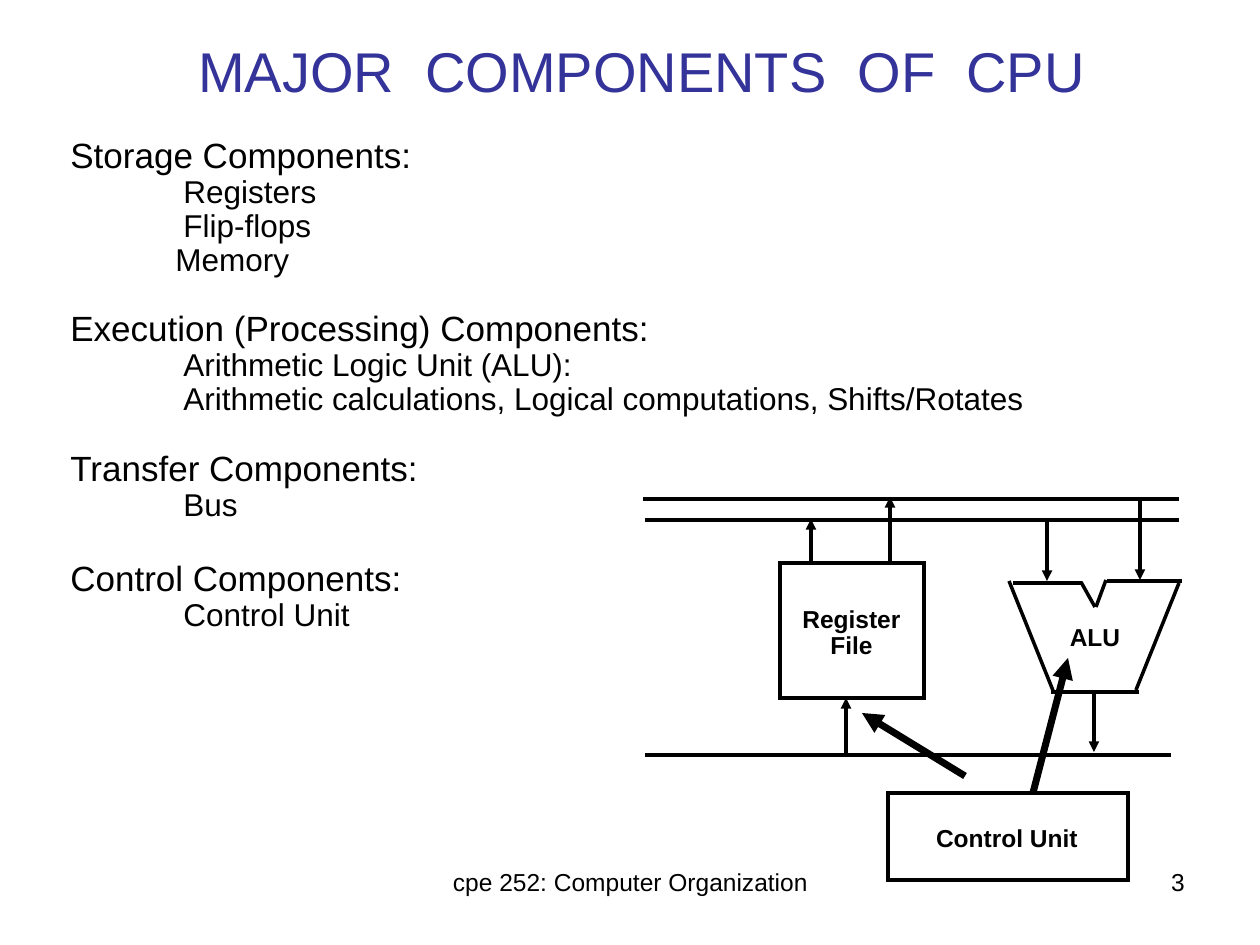
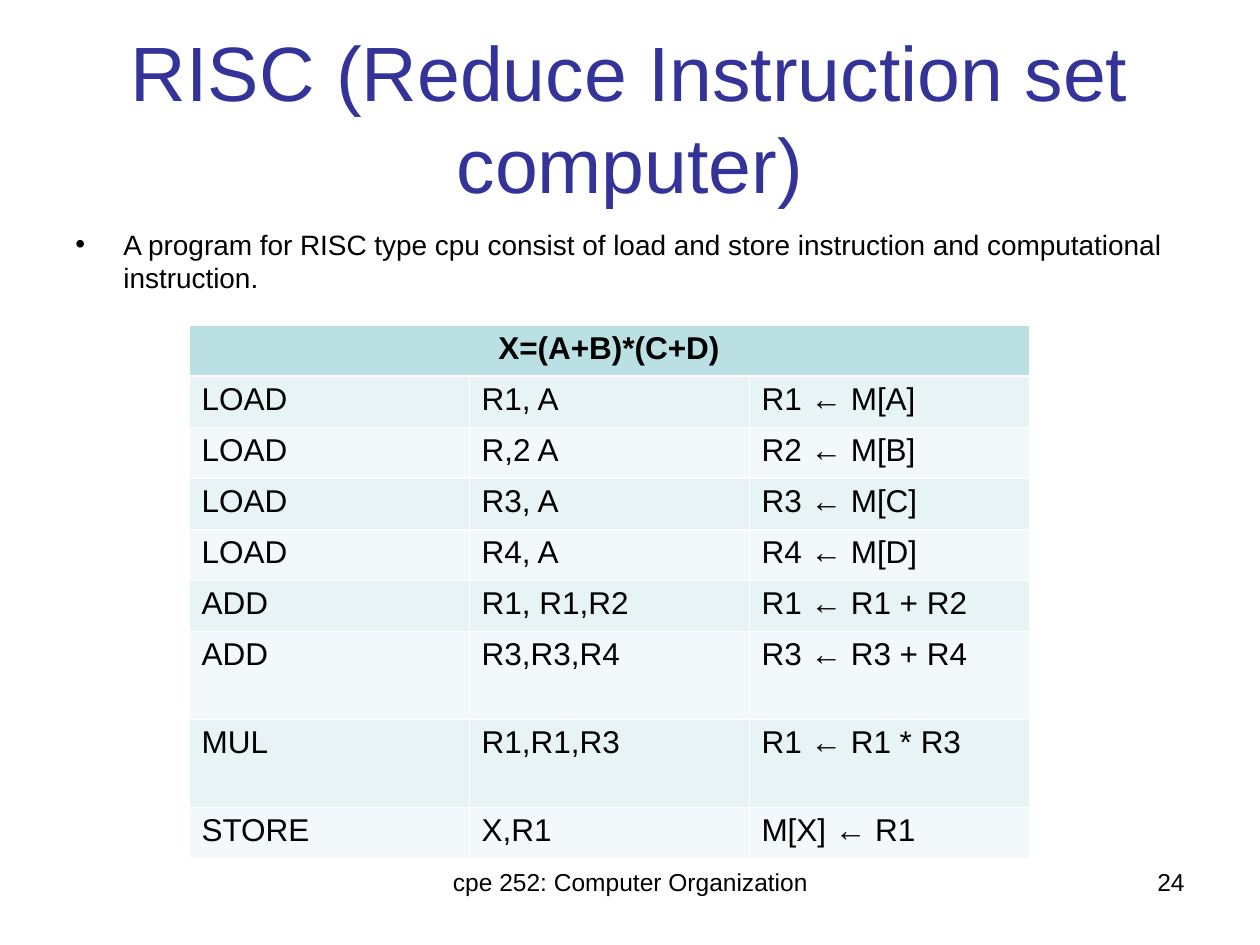
from typing import NamedTuple, Optional, Sequence

from lxml.etree import SubElement
from pptx import Presentation
from pptx.dml.color import RGBColor
from pptx.enum.shapes import MSO_CONNECTOR, MSO_SHAPE
from pptx.enum.text import MSO_ANCHOR, MSO_AUTO_SIZE, PP_ALIGN
from pptx.oxml.ns import qn
from pptx.util import Emu, Pt

BLACK = RGBColor(0x00, 0x00, 0x00)
WHITE = RGBColor(0xFF, 0xFF, 0xFF)
TITLE_BLUE = RGBColor(0x33, 0x33, 0x99)
HEADER_TEAL = RGBColor(0xBB, 0xE0, 0xE3)
BAND_DARK = RGBColor(0xE7, 0xF3, 0xF4)
BAND_LIGHT = RGBColor(0xF3, 0xF9, 0xFA)

FONT = "Arial"
FOOTER = "cpe 252: Computer Organization"
PX_PER_INCH = 126


class Area(NamedTuple):
    left: int
    top: int
    width: int
    height: int


class Line(NamedTuple):
    text: str
    size: int = 18
    bold: bool = False
    align: PP_ALIGN = PP_ALIGN.LEFT
    indent: int = 0
    before: float = 0
    spacing: Optional[float] = None
    bullet: bool = False


class Wire(NamedTuple):
    x1: int
    y1: int
    x2: int
    y2: int
    arrow: bool = False
    width: int = 2


class Group(NamedTuple):
    heading: str
    items: Sequence[str]
    before: float = 0


FOOTER_AREA = Area(431, 861, 399, 66)
NUMBER_AREA = Area(903, 861, 294, 66)

ITEM_INDENT = 113
TAB_INDENT = 105
GROUPS = (
    Group("Storage Components:", ("Registers", "Flip-flops", "Memory")),
    Group("Execution (Processing) Components:",
          ("Arithmetic Logic Unit (ALU):",
           "Arithmetic calculations, Logical computations, Shifts/Rotates"), 19.2),
    Group("Transfer Components:", ("Bus",), 19.2),
    Group("Control Components:", ("Control Unit",), 21.8),
)

REGISTER_FILE = Area(780, 563, 144, 135)
CONTROL_UNIT = Area(888, 793, 240, 87)
LABELS = (
    (Area(784, 601, 135, 66), ("Register", "File")),
    (Area(1055, 619, 80, 39), ("ALU",)),
    (Area(914, 820, 186, 39), ("Control Unit",)),
)
BUSES = (
    Wire(643, 499, 1179, 499),
    Wire(645, 520, 1179, 520),
    Wire(645, 755, 1171, 755),
)
ALU_OUTLINE = (
    Wire(1013, 583, 1082, 583),
    Wire(1081, 582, 1095, 607),
    Wire(1096, 607, 1106, 580),
    Wire(1107, 581, 1182, 581),
    Wire(1179, 583, 1136, 690),
    Wire(1139, 692, 1051, 692),
    Wire(1054, 693, 1009, 581),
)
DATA_ARROWS = (
    Wire(1140, 501, 1140, 580, True),
    Wire(1047, 520, 1047, 581, True),
    Wire(1094, 692, 1094, 752, True),
    Wire(846, 755, 846, 698, True),
    Wire(890, 563, 890, 497, True),
    Wire(811, 564, 811, 519, True),
)
CONTROL_ARROWS = (
    Wire(965, 776, 862, 713, True, 4),
    Wire(1033, 793, 1068, 658, True, 4),
)

PROGRAM = (
    ("LOAD", "R1, A", "R1 ← M[A]"),
    ("LOAD", "R,2 A", "R2 ← M[B]"),
    ("LOAD", "R3, A", "R3 ← M[C]"),
    ("LOAD", "R4, A", "R4 ← M[D]"),
    ("ADD", "R1, R1,R2", "R1 ← R1 + R2"),
    ("ADD", "R3,R3,R4", "R3 ← R3 + R4"),
    ("MUL", "R1,R1,R3", "R1 ← R1 * R3"),
    ("STORE", "X,R1", "M[X] ← R1"),
)
TABLE_AREA = Area(189, 325, 840, 533)
ROW_HEIGHTS = [51] * 6 + [88] * 2 + [51]


def px(value: int) -> Emu:
    return Emu(round(value * 914400 / PX_PER_INCH))


def place(area: Area) -> list[Emu]:
    return [px(value) for value in area]


def write(frame, lines: Sequence[Line], color: RGBColor = BLACK) -> None:
    """Fill a text frame, one paragraph for each line."""
    for index, line in enumerate(lines):
        para = frame.paragraphs[0] if index == 0 else frame.add_paragraph()
        para.text = line.text
        para.alignment = line.align
        if line.spacing:
            para.line_spacing = line.spacing
        if line.before:
            para.space_before = Pt(line.before)
        properties = para._p.get_or_add_pPr()
        if line.indent:
            properties.set("marL", str(px(line.indent)))
            properties.set("indent", str(-px(line.indent) if line.bullet else 0))
        if line.bullet:
            SubElement(properties, qn("a:buFont"), typeface=FONT)
            SubElement(properties, qn("a:buChar"), char="•")
        font = para.font
        font.name, font.size, font.bold = FONT, Pt(line.size), line.bold
        font.color.rgb = color


def add_text(page, area: Area, lines: Sequence[Line], wrap: bool = True) -> None:
    """Add a text box; one that does not wrap grows with its text."""
    frame = page.shapes.add_textbox(*place(area)).text_frame
    frame.word_wrap = wrap
    if not wrap:
        frame.auto_size = MSO_AUTO_SIZE.SHAPE_TO_FIT_TEXT
    write(frame, lines)


def add_page(deck, title: str, area: Area, size: int, number: int):
    """Add a slide with its title, footer and slide number."""
    page = deck.slides.add_slide(deck.slide_layouts[5])
    heading = page.shapes.title
    heading.left, heading.top, heading.width, heading.height = place(area)
    frame = heading.text_frame
    frame.auto_size = MSO_AUTO_SIZE.NONE
    frame.vertical_anchor = MSO_ANCHOR.MIDDLE
    write(frame, [Line(title, size, align=PP_ALIGN.CENTER)], TITLE_BLUE)
    add_text(page, FOOTER_AREA, [Line(FOOTER, 14, align=PP_ALIGN.CENTER)])
    add_text(page, NUMBER_AREA, [Line(str(number), 14, align=PP_ALIGN.RIGHT)])
    return page


def add_block(page, area: Area) -> None:
    """Add an unfilled rectangle with sharp corners."""
    block = page.shapes.add_shape(MSO_SHAPE.RECTANGLE, *place(area))
    block.shadow.inherit = False
    block.fill.background()
    block.line.color.rgb = BLACK
    block.line.width = Pt(2)
    SubElement(block.line._get_or_add_ln(), qn("a:miter"), lim="800000")


def add_wire(page, wire: Wire) -> None:
    ends = [px(value) for value in wire[:4]]
    connector = page.shapes.add_connector(MSO_CONNECTOR.STRAIGHT, *ends)
    connector.line.color.rgb = BLACK
    connector.line.width = Pt(wire.width)
    if wire.arrow:
        SubElement(connector.line._get_or_add_ln(), qn("a:tailEnd"), type="triangle")
    SubElement(connector._element.spPr, qn("a:effectLst"))


def format_cell(cell, fill: RGBColor, widths: dict[str, float]) -> None:
    """Set white borders, with widths in points by side, and then the fill."""
    properties = cell._tc.get_or_add_tcPr()
    for side in "LRTB":
        width = Pt(widths.get(side, 0.45))
        border = SubElement(properties, qn(f"a:ln{side}"), w=str(width))
        paint = SubElement(border, qn("a:solidFill"))
        SubElement(paint, qn("a:srgbClr"), val=str(WHITE))
    cell.fill.solid()
    cell.fill.fore_color.rgb = fill


def add_program_table(page) -> None:
    rows = [("X=(A+B)*(C+D)", "", ""), *PROGRAM]
    table = page.shapes.add_table(len(rows), 3, *place(TABLE_AREA)).table
    table.horz_banding = False
    for column in table.columns:
        column.width = px(TABLE_AREA.width // 3)
    for row, height in zip(table.rows, ROW_HEIGHTS):
        row.height = px(height)
    table.cell(0, 0).merge(table.cell(0, 2))
    for r, texts in enumerate(rows):
        header = r == 0
        fill = HEADER_TEAL if header else BAND_DARK if r % 2 else BAND_LIGHT
        widths = {"B": 1.47} if header else {"T": 1.47} if r == 1 else {}
        align = PP_ALIGN.CENTER if header else PP_ALIGN.LEFT
        for c, text in enumerate(texts):
            cell = table.cell(r, c)
            format_cell(cell, fill, widths)
            if text:
                write(cell.text_frame, [Line(text, bold=header, align=align)])


def build_components_page(deck) -> None:
    page = add_page(deck, "MAJOR  COMPONENTS  OF  CPU", Area(133, 26, 1018, 89), 32, 3)
    lines = []
    for group in GROUPS:
        lines.append(Line(group.heading, 20, before=group.before, spacing=0.9))
        for item in group.items:
            indent = TAB_INDENT if item == "Memory" else ITEM_INDENT
            lines.append(Line(item, indent=indent, spacing=0.9))
    add_text(page, Area(58, 132, 1133, 508), lines)
    for area in (REGISTER_FILE, CONTROL_UNIT):
        add_block(page, area)
    for area, texts in LABELS:
        add_text(page, area, [Line(text, 14, True, PP_ALIGN.CENTER, spacing=0.9)
                              for text in texts], wrap=False)
    for wire in BUSES + ALU_OUTLINE + DATA_ARROWS + CONTROL_ARROWS:
        add_wire(page, wire)


def build_risc_page(deck) -> None:
    page = add_page(deck, "RISC (Reduce Instruction set computer)",
                    Area(63, 38, 1134, 158), 44, 24)
    add_text(page, Area(63, 221, 1134, 624), [
        Line("A program for RISC type cpu consist of load and store instruction "
             "and computational instruction.", 16, indent=48, bullet=True)])
    add_program_table(page)


def main() -> None:
    deck = Presentation()
    deck.slide_width, deck.slide_height = px(1260), px(945)
    build_components_page(deck)
    build_risc_page(deck)
    deck.save("out.pptx")


if __name__ == "__main__":
    main()
